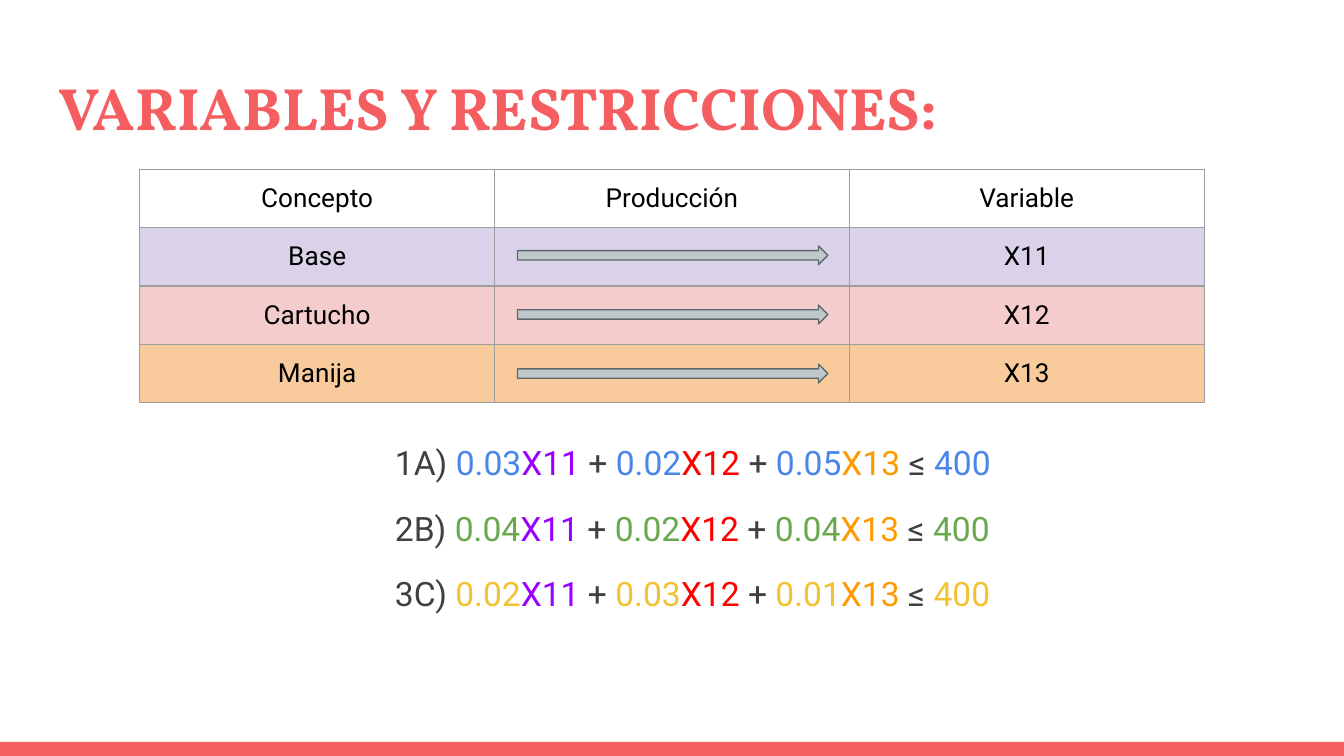
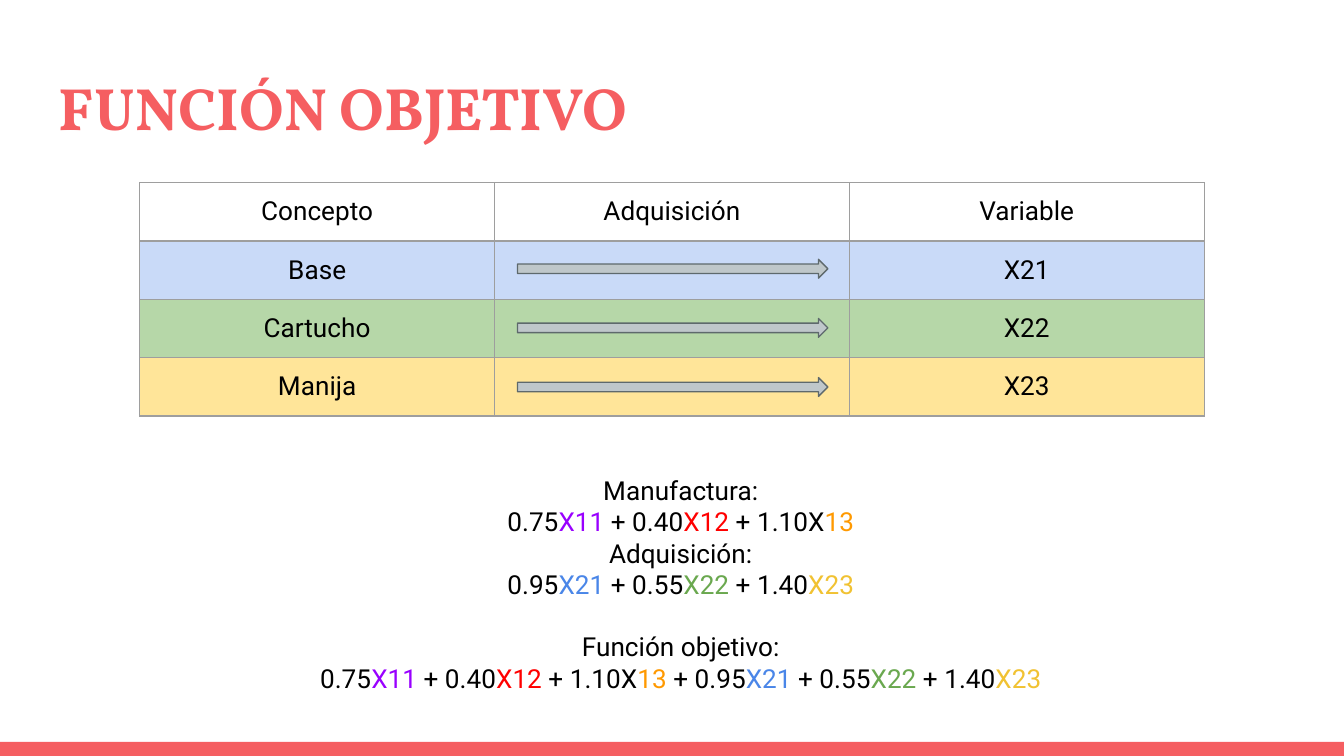
from dataclasses import dataclass

from lxml import etree
from pptx import Presentation
from pptx import util as u
from pptx.dml.color import RGBColor
from pptx.enum import shapes, text
from pptx.oxml import ns


@dataclass(frozen=True)
class Theme:
    coral: str = "F55E61"
    ink: str = "000000"
    grey: str = "404040"
    border: str = "9E9E9E"
    arrow: str = "BFC7CA"
    arrow_line: str = "5E696C"
    blue: str = "4A86E8"
    green: str = "6AA84F"
    yellow: str = "F1C232"
    purple: str = "9900FF"
    red: str = "FF0000"
    orange: str = "FF9900"
    title_font: str = "Vollkorn"
    body_font: str = "Roboto"
    title_size: float = 32
    equation_size: float = 18
    text_size: float = 14
    hairline: float = 0.75


THEME = Theme()

VARIABLE_COLOURS = {
    "X11": THEME.purple, "X12": THEME.red, "X13": THEME.orange, "13": THEME.orange,
    "X21": THEME.blue, "X22": THEME.green, "X23": THEME.yellow,
}

PRODUCTION = {
    "title": "VARIABLES Y RESTRICCIONES:",
    "top": 1.26,
    "header": ("Concepto", "Producción", "Variable"),
    "rows": [("Base", "X11", "D9D2E9"), ("Cartucho", "X12", "F4CCCC"), ("Manija", "X13", "F9CB9C")],
}
ACQUISITION = {
    "title": "FUNCIÓN OBJETIVO",
    "top": 1.36,
    "header": ("Concepto", "Adquisición", "Variable"),
    "rows": [("Base", "X21", "C9DAF8"), ("Cartucho", "X22", "B6D7A8"), ("Manija", "X23", "FFE599")],
}

# label, coefficients of X11, X12 and X13, limit, colour of the numbers
RESTRICTIONS = [
    ("1A) ", ("0.03", "0.02", "0.05"), "400", THEME.blue),
    ("2B) ", ("0.04", "0.02", "0.04"), "400", THEME.green),
    ("3C) ", ("0.02", "0.03", "0.01"), "400", THEME.yellow),
]
MANUFACTURE_TERMS = [("0.75", "X11"), ("0.40", "X12"), ("1.10X", "13")]
ACQUISITION_TERMS = [("0.95", "X21"), ("0.55", "X22"), ("1.40", "X23")]

PAGE_WIDTH = 10
PAGE_HEIGHT = PAGE_WIDTH * 9 / 16
TABLE_LEFT, COLUMN_WIDTH, ROW_HEIGHT = 1.04, 2.64, 0.42
ARROW_OFFSET_X, ARROW_OFFSET_Y, ARROW_PITCH = 2.81, 0.57, 0.44


def sum_spans(terms, number_colour, sign_colour):
    """Return (text, colour) spans for a sum of coefficient and variable pairs."""
    spans = []
    for index, (coefficient, variable) in enumerate(terms):
        if index:
            spans.append((" + ", sign_colour))
        spans += [(coefficient, number_colour), (variable, VARIABLE_COLOURS[variable])]
    return spans


def write_para(para, spans, *, size=THEME.text_size, font=THEME.body_font, colour=THEME.ink,
               bold=False, align=text.PP_ALIGN.CENTER, before=0, spacing=1.0):
    """Fill a paragraph from a string or from (text, colour) spans."""
    para.alignment = align
    para.space_before = u.Pt(before)
    para.line_spacing = spacing
    if isinstance(spans, str):
        spans = [(spans, colour)]
    for words, span_colour in spans:
        span = para.add_run()
        span.text = words
        span.font.size = u.Pt(size)
        span.font.name = font
        span.font.bold = bold
        span.font.color.rgb = RGBColor.from_string(span_colour)


def add_box(page, left, top, width, height, *, anchor=text.MSO_ANCHOR.TOP, bottom=0.1):
    box = page.shapes.add_textbox(*map(u.Inches, (left, top, width, height)))
    frame = box.text_frame
    frame.word_wrap = True
    frame.vertical_anchor = anchor
    frame.margin_left = frame.margin_right = frame.margin_top = u.Inches(0.1)
    frame.margin_bottom = u.Inches(bottom)
    return frame


def add_paras(frame, lines, **style):
    """Write one paragraph per (spans, space before) pair."""
    for index, (spans, before) in enumerate(lines):
        para = frame.add_paragraph() if index else frame.paragraphs[0]
        write_para(para, spans, before=before, **style)


def add_solid(page, kind, place, fill, line=None):
    shape = page.shapes.add_shape(kind, *map(u.Inches, place))
    shape.shadow.inherit = False
    shape.fill.solid()
    shape.fill.fore_color.rgb = RGBColor.from_string(fill)
    if line:
        shape.line.color.rgb = RGBColor.from_string(line)
        shape.line.width = u.Pt(THEME.hairline)
    else:
        shape.line.fill.background()


def format_cell(cell, words, fill):
    cell.vertical_anchor = text.MSO_ANCHOR.MIDDLE
    cell.margin_left = cell.margin_right = cell.margin_top = cell.margin_bottom = u.Inches(0.1)
    properties = cell._tc.get_or_add_tcPr()
    for side in ("a:lnL", "a:lnR", "a:lnT", "a:lnB"):
        edge = etree.SubElement(properties, ns.qn(side), w=str(u.Pt(THEME.hairline)))
        paint = etree.SubElement(edge, ns.qn("a:solidFill"))
        etree.SubElement(paint, ns.qn("a:srgbClr"), val=THEME.border)
    if fill:
        cell.fill.solid()
        cell.fill.fore_color.rgb = RGBColor.from_string(fill)
    else:
        cell.fill.background()
    para = cell.text_frame.paragraphs[0]
    if words:
        write_para(para, words)
    else:  # an empty cell keeps the row low only with a small end mark
        etree.SubElement(para._p, ns.qn("a:endParaRPr"), sz=str(THEME.text_size * 100))


def add_variable_table(page, top, header, rows):
    grid = [(header, None)] + [((concept, "", variable), fill) for concept, variable, fill in rows]
    place = (TABLE_LEFT, top, COLUMN_WIDTH * len(header), ROW_HEIGHT * len(grid))
    table = page.shapes.add_table(len(grid), len(header), *map(u.Inches, place)).table
    table.first_row = table.horz_banding = False
    for column in table.columns:
        column.width = u.Inches(COLUMN_WIDTH)
    for row_index, (words, fill) in enumerate(grid):
        table.rows[row_index].height = u.Inches(ROW_HEIGHT)
        for column_index, word in enumerate(words):
            format_cell(table.cell(row_index, column_index), word, fill)
    for index in range(len(rows)):
        arrow_top = top + ARROW_OFFSET_Y + index * ARROW_PITCH
        add_solid(page, shapes.MSO_SHAPE.RIGHT_ARROW,
                  (TABLE_LEFT + ARROW_OFFSET_X, arrow_top, 2.31, 0.14),
                  THEME.arrow, THEME.arrow_line)


def add_page(deck, content):
    """Add a slide with the shared band, title and variable table."""
    page = deck.slides.add_slide(deck.slide_layouts[6])
    add_solid(page, shapes.MSO_SHAPE.RECTANGLE, (0, 5.52, PAGE_WIDTH, 0.11), THEME.coral)
    title = add_box(page, 0.34, 0.43, 9.32, 0.68)
    write_para(title.paragraphs[0], content["title"], size=THEME.title_size,
               font=THEME.title_font, colour=THEME.coral, bold=True, align=text.PP_ALIGN.LEFT)
    add_variable_table(page, content["top"], content["header"], content["rows"])
    return page


def add_restrictions(page):
    frame = add_box(page, 0.34, 1.26, 9.32, 3.74, anchor=text.MSO_ANCHOR.BOTTOM, bottom=0.44)
    lines = []
    for label, coefficients, limit, colour in RESTRICTIONS:
        terms = zip(coefficients, ("X11", "X12", "X13"))
        spans = [(label, THEME.grey), *sum_spans(terms, colour, THEME.grey),
                 (" ≤ ", THEME.grey), (limit, colour)]
        lines.append((spans, 10))
    add_paras(frame, lines, size=THEME.equation_size, align=text.PP_ALIGN.LEFT, spacing=1.15)
    for para in frame.paragraphs:
        properties = para._p.get_or_add_pPr()
        properties.set("marL", str(u.Inches(2)))
        properties.set("indent", str(u.Inches(0.5)))


def add_objective(page):
    sections = [
        ("Manufactura:", MANUFACTURE_TERMS, 0),
        ("Adquisición:", ACQUISITION_TERMS, 0),
        ("Función objetivo:", MANUFACTURE_TERMS + ACQUISITION_TERMS, 16.4),
    ]
    lines = []
    for heading, terms, before in sections:
        lines += [(heading, before), (sum_spans(terms, THEME.ink, THEME.ink), 0)]
    add_paras(add_box(page, 1.04, 3.43, 8.05, 1.85), lines)


def main():
    deck = Presentation()
    deck.slide_width, deck.slide_height = u.Inches(PAGE_WIDTH), u.Inches(PAGE_HEIGHT)
    add_restrictions(add_page(deck, PRODUCTION))
    add_objective(add_page(deck, ACQUISITION))
    deck.save("out.pptx")


if __name__ == "__main__":
    main()
